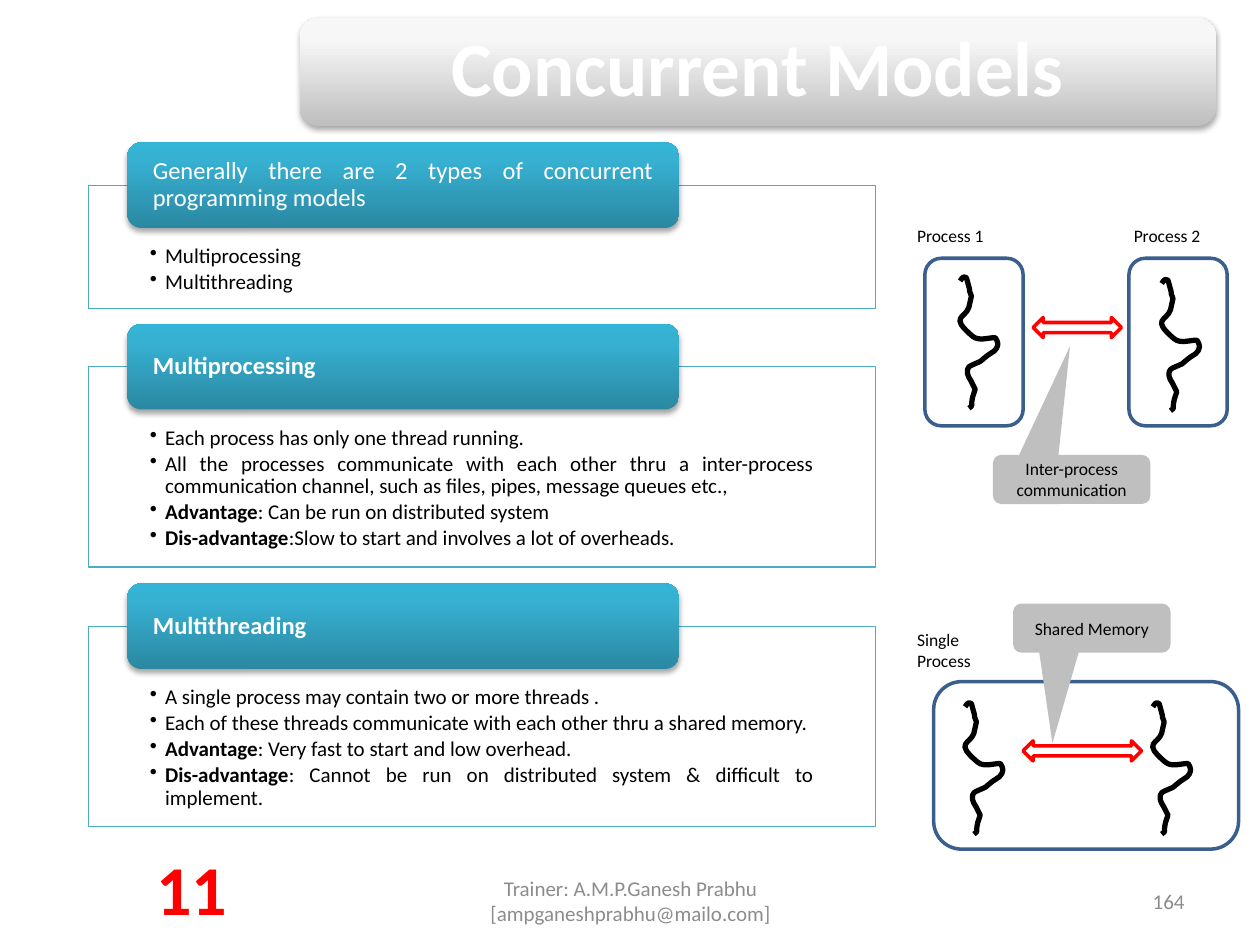
"""Build the slide comparing multiprocessing and multithreading."""
import pptx
import pptx.util
import pptx.dml.color
import pptx.enum.shapes
import pptx.enum.text
import pptx.oxml
import pptx.oxml.ns

deck = pptx.Presentation()
deck.slide_width = pptx.util.Inches(10)
deck.slide_height = pptx.util.Inches(7.5)
column = deck.slide_width / 10
row = deck.slide_height / 7.5
page = deck.slides.add_slide(deck.slide_layouts[6])
color = pptx.dml.color.RGBColor.from_string
SHAPE = pptx.enum.shapes.MSO_SHAPE
ALIGN = pptx.enum.text.PP_ALIGN
ANCHOR = pptx.enum.text.MSO_ANCHOR
NAMESPACE = pptx.oxml.ns.nsdecls("a")


def add_box(kind, left, top, width, height, fill=None, line=None, weight=2):
    """Add a preset shape; a list as fill makes a raised gradient."""
    box = page.shapes.add_shape(kind, round(left * column), round(top * row),
                                round(width * column), round(height * row))
    box.shadow.inherit = False
    box.fill.background()
    box.line.fill.background()
    if line:
        box.line.color.rgb = color(line)
        box.line.width = pptx.util.Pt(weight)
    if isinstance(fill, str):
        box.fill.solid()
        box.fill.fore_color.rgb = color(fill)
    elif fill:
        properties = box._element.spPr
        stops = "".join(f'<a:gs pos="{place}"><a:srgbClr val="{shade}"/></a:gs>'
                        for place, shade in zip((0, 80000, 100000), fill))
        empty = properties.find(pptx.oxml.ns.qn("a:noFill"))
        properties.replace(empty, pptx.oxml.parse_xml(
            f'<a:gradFill {NAMESPACE} rotWithShape="1"><a:gsLst>{stops}</a:gsLst>'
            '<a:lin ang="16200000" scaled="0"/></a:gradFill>'))
        effects = properties.find(pptx.oxml.ns.qn("a:effectLst"))
        effects.append(pptx.oxml.parse_xml(
            f'<a:outerShdw {NAMESPACE} blurRad="40000" dist="23000" dir="5400000" '
            'rotWithShape="0"><a:srgbClr val="000000"><a:alpha val="35000"/>'
            '</a:srgbClr></a:outerShdw>'))
    return box


def write(box, paragraphs, size, shade, align=ALIGN.LEFT, anchor=ANCHOR.MIDDLE,
          insets=(0.1, 0.05, 0.1, 0.05), spacing=None, bullets=False):
    """Fill a box with paragraphs, each a list of (text, bold) runs."""
    frame = box.text_frame
    frame.word_wrap = True
    frame.vertical_anchor = anchor
    frame.margin_left, frame.margin_top, frame.margin_right, frame.margin_bottom = (
        pptx.util.Inches(inset) for inset in insets)
    for index, runs in enumerate(paragraphs):
        para = frame.add_paragraph() if index else frame.paragraphs[0]
        para.alignment = align
        para.line_spacing = spacing
        if bullets:
            para.space_after = pptx.util.Pt(1.8)
            properties = para._p.get_or_add_pPr()
            properties.set("marL", str(pptx.util.Inches(0.12)))
            properties.set("indent", str(-pptx.util.Inches(0.12)))
            properties.append(pptx.oxml.parse_xml(f'<a:buChar {NAMESPACE} char="•"/>'))
        para.font.size = pptx.util.Pt(size)
        para.font.name = "Calibri"
        para.font.color.rgb = color(shade)
        for text, bold in runs:
            span = para.add_run()
            span.text = text
            span.font.name = "Calibri"
            span.font.size = pptx.util.Pt(size)
            span.font.bold = bold
            span.font.color.rgb = color(shade)


title = add_box(SHAPE.ROUNDED_RECTANGLE, 2.38, 0.14, 7.27, 0.86,
                ["BEBEBE", "F7F7F7", "F8F8F8"])
write(title, [[("Concurrent Models", True)]], 44, "FFFFFF", ALIGN.CENTER,
      insets=(0.18,) * 4, spacing=0.9)

cards = [
    (1.47, 0.98, ("Generally there are 2 types of concurrent programming models", False),
     [[("Multiprocessing", False)], [("Multithreading", False)]]),
    (2.91, 1.59, ("Multiprocessing", True),
     [[("Each process has only one thread running.", False)],
      [("All the processes communicate with each other thru a inter-process "
        "communication channel, such as files, pipes, message queues etc.,", False)],
      [("Advantage", True), (": Can be run on distributed system", False)],
      [("Dis-advantage", True),
       (":Slow to start and involves a lot of overheads.", False)]]),
    (4.97, 1.59, ("Multithreading", True),
     [[("A single process may contain two or more threads .", False)],
      [("Each of these threads communicate with each other thru a shared memory.",
        False)],
      [("Advantage", True), (": Very fast to start and low overhead.", False)],
      [("Dis-advantage", True),
       (": Cannot be run on distributed system & difficult to implement.", False)]]),
]
for card_top, card_height, heading, points in cards:
    card = add_box(SHAPE.RECTANGLE, 0.7, card_top, 6.25, card_height,
                   "FFFFFF", "4BACC6", 0.75)
    write(card, points, 12, "000000", ALIGN.JUSTIFY, ANCHOR.TOP,
          (0.49, 0.48, 0.49, 0.09), 0.9, True)
    header = add_box(SHAPE.ROUNDED_RECTANGLE, 1.01, card_top - 0.34, 4.38, 0.68,
                     ["2A88A2", "37B1D2", "34B4D6"])
    write(header, [[heading]], 14, "FFFFFF", ALIGN.JUSTIFY,
          insets=(0.17, 0, 0.17, 0), spacing=0.9)

for left, top, width in [(7.34, 2.05, 0.78), (8.96, 2.05, 0.78), (7.41, 5.41, 2.42)]:
    add_box(SHAPE.ROUNDED_RECTANGLE, left, top, width, 1.33, line="3A5F8C")

thread_start = (9, 4)
thread_curves = [
    (10, 3, 11, 0, 13, 1), (15, 1, 14, 4, 15, 5), (19, 19, 14, 5, 18, 16),
    (17, 19, 17, 22, 16, 25), (13, 34, 0, 32, 19, 48), (24, 52, 31, 49, 37, 49),
    (38, 51, 39, 52, 39, 54), (38, 60, 35, 60, 31, 63), (22, 70, 29, 66, 18, 71),
    (17, 72, 15, 72, 15, 74), (14, 80, 17, 81, 19, 86), (20, 87, 20, 89, 21, 90),
    (20, 92, 20, 94, 19, 96), (17, 105, 20, 102, 16, 105),
]
for left, top in [(7.53, 2.19), (9.13, 2.21), (7.57, 5.57), (9.06, 5.57)]:
    knots = [(round((left + x / 100) * column), round((top + y / 100) * row))
             for x, y in [thread_start] + [curve[4:] for curve in thread_curves]]
    builder = page.shapes.build_freeform(*knots[0])
    builder.add_line_segments(knots[1:], close=False)
    thread = builder.convert_to_shape()
    thread.shadow.inherit = False
    thread.fill.background()
    thread.line.color.rgb = color("000000")
    thread.line.width = pptx.util.Pt(3)
    segments = list(thread._element.iter(pptx.oxml.ns.qn("a:lnTo")))
    for segment, curve in zip(segments, thread_curves):
        marks = "".join(
            f'<a:pt x="{round((left + x / 100) * column) - thread.left}" '
            f'y="{round((top + y / 100) * row) - thread.top}"/>'
            for x, y in zip(curve[::2], curve[1::2]))
        segment.getparent().replace(segment, pptx.oxml.parse_xml(
            f'<a:cubicBezTo {NAMESPACE}>{marks}</a:cubicBezTo>'))

for left, top, width in [(8.2, 2.52, 0.7), (8.12, 5.88, 0.94)]:
    add_box(SHAPE.LEFT_RIGHT_ARROW, left, top, width, 0.16, "FFFFFF", "FF0000")

callouts = [("Inter-process communication", 7.88, 3.61, (-0.01, -2.71, 0.17)),
            ("Shared Memory", 8.04, 4.79, (-0.25, 2.34, 0.17))]
for text, left, top, tip in callouts:
    callout = add_box(SHAPE.ROUNDED_RECTANGULAR_CALLOUT, left, top, 1.25, 0.39, "BFBFBF")
    for index, value in enumerate(tip):
        callout.adjustments[index] = value
    write(callout, [[(text, False)]], 10, "000000", ALIGN.CENTER)

labels = [
    ("Process 1", 7.18, 1.74, 0.86, 0.27, 10, "000000", ALIGN.LEFT, ANCHOR.TOP),
    ("Process 2", 8.9, 1.74, 0.86, 0.27, 10, "000000", ALIGN.LEFT, ANCHOR.TOP),
    ("Single Process", 7.18, 4.94, 0.86, 0.44, 10, "000000", ALIGN.LEFT, ANCHOR.TOP),
    ("Trainer: A.M.P.Ganesh Prabhu [ampganeshprabhu@mailo.com]",
     3.42, 6.95, 3.17, 0.4, 12, "8C8C8C", ALIGN.CENTER, ANCHOR.MIDDLE),
    ("164", 7.17, 6.95, 2.33, 0.4, 12, "8C8C8C", ALIGN.RIGHT, ANCHOR.MIDDLE),
    ("11", 1.13, 6.66, 0.78, 0.77, 40, "FF0000", ALIGN.CENTER, ANCHOR.TOP),
]
for text, left, top, width, height, size, shade, align, anchor in labels:
    label = page.shapes.add_textbox(round(left * column), round(top * row),
                                    round(width * column), round(height * row))
    write(label, [[(text, text == "11")]], size, shade, align, anchor)

deck.save("out.pptx")
